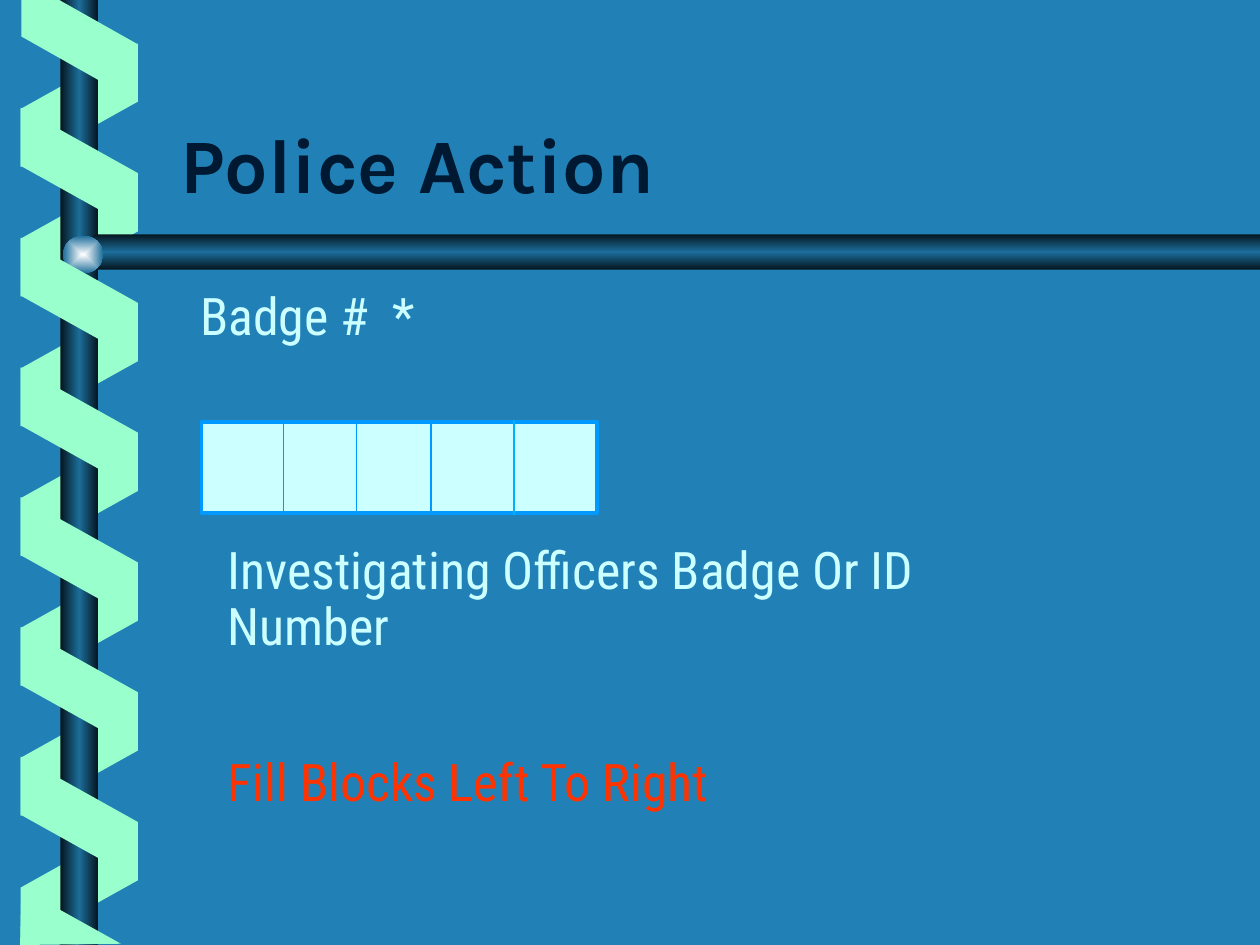
"""Builds the Police Action badge-number slide with its spiral binding."""
from dataclasses import dataclass

from lxml import etree
from pptx import Presentation
from pptx import util as u
from pptx.dml.color import RGBColor
from pptx.enum import shapes, text
from pptx.oxml.ns import nsdecls, qn


@dataclass(frozen=True)
class Theme:
    sea: str = "2181B7"
    navy: str = "001932"
    mint: str = "99FFCC"
    ice: str = "CCFFFF"
    alert: str = "FF3300"
    rule: str = "0099FF"
    last_rule: str = "01B0FF"
    steel: tuple = ((0, "05151E"), (50, "1C6D9A"), (100, "05151E"))
    pearl: tuple = ((0, "FEFEFE"), (100, "1C6D9A"))
    title_face: str = "Karla"
    body_face: str = "Roboto Condensed"
    title_size: float = 44
    body_size: float = 29.6


def assign(target, values):
    for name, value in values.items():
        setattr(target, name, value)


class SlideBuilder:
    def __init__(self, slide, theme):
        self.slide, self.theme = slide, theme
        slide.background.fill.solid()
        slide.background.fill.fore_color.rgb = RGBColor.from_string(theme.sea)

    def paint(self, shape, fill, line=None, weight=0):
        shape.shadow.inherit = False
        if isinstance(fill, str):
            shape.fill.solid()
            shape.fill.fore_color.rgb = RGBColor.from_string(fill)
        if line:
            shape.line.color.rgb = RGBColor.from_string(line)
            shape.line.width = u.Pt(weight)
        else:
            shape.line.fill.background()
        return shape

    def preset(self, kind, box, fill, line=None, weight=0):
        shape = self.slide.shapes.add_shape(kind, *map(u.Inches, box))
        return self.paint(shape, fill, line, weight)

    def outline(self, points, fill):
        start, *rest = [(u.Inches(x), u.Inches(y)) for x, y in points]
        builder = self.slide.shapes.build_freeform(*start)
        builder.add_line_segments(rest, close=True)
        return self.paint(builder.convert_to_shape(), fill)

    def gradient(self, shape, stops, direction):
        marks = "".join(f'<a:gs pos="{pos * 1000}"><a:srgbClr val="{color}"/></a:gs>'
                        for pos, color in stops)
        fill = etree.fromstring(f'<a:gradFill {nsdecls("a")} rotWithShape="1">'
                                f'<a:gsLst>{marks}</a:gsLst>{direction}</a:gradFill>')
        geometry = "a:custGeom" if shape.shape_type == shapes.MSO_SHAPE_TYPE.FREEFORM else "a:prstGeom"
        shape._element.spPr.find(qn(geometry)).addnext(fill)

    def strip(self, top, rotation, flip=False):
        shape = self.preset(shapes.MSO_SHAPE.PARALLELOGRAM, (0.14, top, 0.98, 0.93), self.theme.mint)
        shape.adjustments[0] = 0.558
        shape.rotation = rotation
        if flip:
            shape._element.spPr.find(qn("a:xfrm")).set("flipH", "1")

    def divider(self, x, top, bottom, color):
        ends = map(u.Inches, (x, bottom, x, top))
        line = self.slide.shapes.add_connector(shapes.MSO_CONNECTOR.STRAIGHT, *ends)
        line.line.color.rgb = RGBColor.from_string(color)
        line.line.width = u.Pt(1)
        etree.SubElement(line._element.spPr, qn("a:effectLst"))

    def frame(self, shape, box, anchor):
        assign(shape, dict(zip(("left", "top", "width", "height"), map(u.Inches, box))))
        assign(shape.text_frame, {
            "word_wrap": True, "auto_size": text.MSO_AUTO_SIZE.NONE, "vertical_anchor": anchor,
            "margin_left": u.Inches(0.1), "margin_right": u.Inches(0.1),
            "margin_top": u.Inches(0.05), "margin_bottom": u.Inches(0.05)})
        return shape.text_frame

    def title(self, words, box):
        frame = self.frame(self.slide.shapes.title, box, text.MSO_ANCHOR.BOTTOM)
        heading = frame.paragraphs[0]
        heading.alignment = text.PP_ALIGN.LEFT
        run = heading.add_run()
        run.text = words
        assign(run.font, {"name": self.theme.title_face, "size": u.Pt(self.theme.title_size), "bold": True})
        run.font.color.rgb = RGBColor.from_string(self.theme.navy)

    def body(self, entries, box):
        frame = self.frame(self.slide.shapes.add_textbox(0, 0, 0, 0), box, text.MSO_ANCHOR.TOP)
        for index, (pieces, indent, spacing, before, color) in enumerate(entries):
            entry = frame.add_paragraph() if index else frame.paragraphs[0]
            entry._p.get_or_add_pPr().set("marL", str(u.Inches(indent)))
            assign(entry, {"line_spacing": spacing, "space_before": u.Pt(before)})
            for words, tracking in pieces:
                run = entry.add_run()
                run.text = words
                assign(run.font, {"name": self.theme.body_face, "size": u.Pt(self.theme.body_size)})
                run.font.color.rgb = RGBColor.from_string(color)
                if tracking:
                    run._r.get_or_add_rPr().set("spc", str(tracking))

    def binding(self):
        theme, pitch = self.theme, 1.03
        for turn in range(7):
            self.strip(0.37 + turn * pitch, 90, flip=True)
        rod = self.preset(shapes.MSO_SHAPE.RECTANGLE, (0.48, 0, 0.3, 7.5), None)
        self.gradient(rod, theme.steel, '<a:lin ang="0" scaled="0"/>')
        beam = self.outline([(10, 1.86), (0.76, 1.86), (0.6, 2), (0.76, 2.14), (10, 2.14)], None)
        self.gradient(beam, theme.steel, '<a:lin ang="5400000" scaled="0"/>')
        knob = self.preset(shapes.MSO_SHAPE.OVAL, (0.5, 1.87, 0.32, 0.3), None)
        self.gradient(knob, theme.pearl, '<a:path path="rect"><a:fillToRect l="50000" t="50000" '
                                         'r="50000" b="50000"/></a:path>')
        for turn in range(6):
            self.strip(0.88 + turn * pitch, 270)
        self.outline([(0.17, 0), (0.17, 0.29), (1.09, 0.81), (1.09, 0.35), (0.47, 0)], theme.mint)
        self.outline([(0.96, 7.49), (0.17, 7.05), (0.16, 7.5)], theme.mint)

    def badge_blocks(self):
        theme = self.theme
        self.preset(shapes.MSO_SHAPE.RECTANGLE, (1.6, 3.35, 3.14, 0.72), theme.ice, theme.rule, 2)
        for x, color in ((2.25, theme.rule), (2.83, theme.rule), (3.42, theme.rule), (4.08, theme.last_rule)):
            self.divider(x, 3.33, 4.09, color)


def main():
    deck = Presentation()
    deck.slide_width, deck.slide_height = u.Inches(10), u.Inches(7.5)
    theme = Theme()
    page = SlideBuilder(deck.slides.add_slide(deck.slide_layouts[5]), theme)
    page.binding()
    page.title("Police Action", (1.33, 0.46, 8.5, 1.25))
    page.body([
        ([("Badge #", 0), (" ", 660), ("*", 0)], 0.16, 0.9, 0, theme.ice),
        ([("Investigating Officers Badge Or ID Number", 0)], 0.38, 0.9, 113, theme.ice),
        ([("Fill Blocks Left To Right", 0)], 0.38, 1.0, 53, theme.alert),
    ], (1.33, 2.26, 7, 4.5))
    page.badge_blocks()
    deck.save("out.pptx")


if __name__ == "__main__":
    main()
